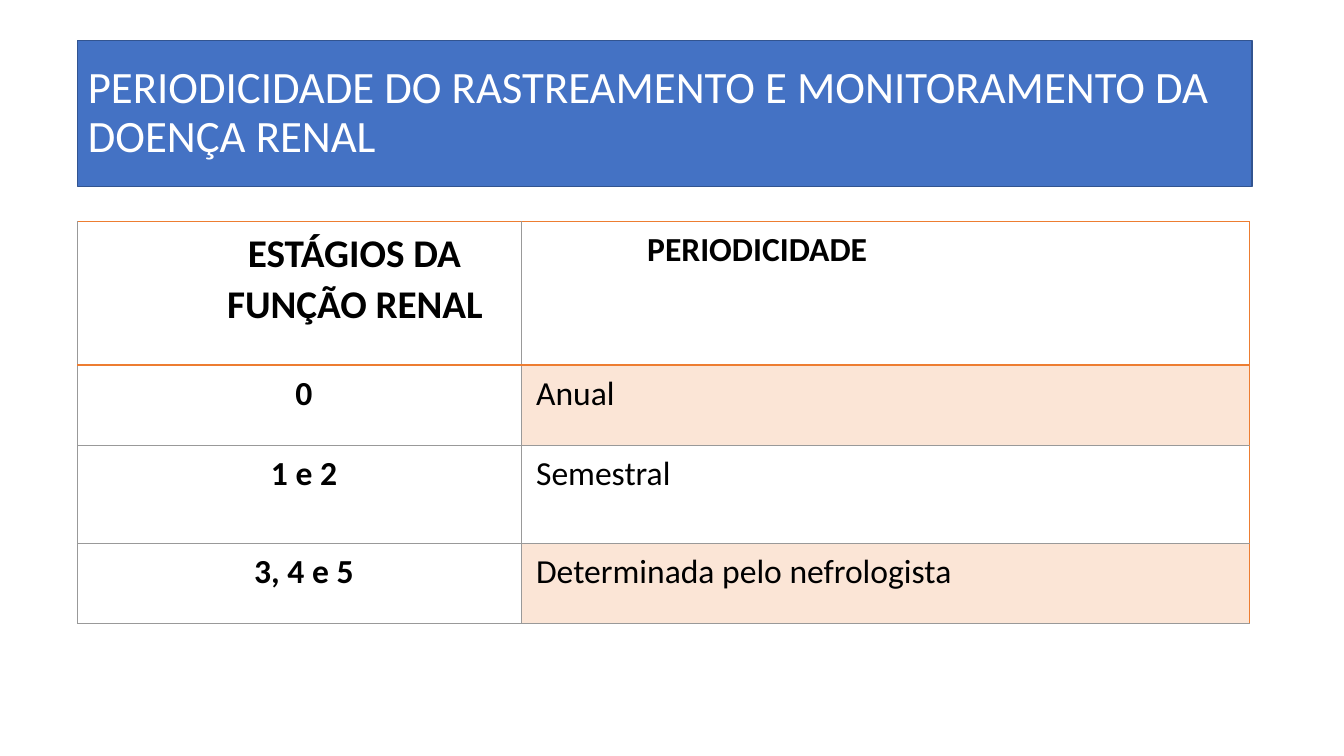
import pptx
import pptx.util
import pptx.dml.color
import pptx.enum.text
import pptx.oxml.ns
import lxml.etree

Cm = pptx.util.Cm
Pt = pptx.util.Pt
ALIGN = pptx.enum.text.PP_ALIGN

COLORS = {
    "blue": "4472C4",
    "dark_blue": "325490",
    "orange": "ED7D31",
    "peach": "FBE5D6",
    "gray": "999999",
    "white": "FFFFFF",
    "black": "000000",
}


class SlideBuilder:
    """Holds the shared style and the current slide."""

    font_name = "Calibri"

    def __init__(self, presentation):
        self.slide = presentation.slides.add_slide(presentation.slide_layouts[5])

    def color(self, name):
        return pptx.dml.color.RGBColor.from_string(COLORS[name])

    def style(self, paragraph, size, color, bold, align, line_spacing):
        paragraph.alignment = align
        paragraph.line_spacing = line_spacing
        paragraph.font.name = self.font_name
        paragraph.font.size = Pt(size)
        paragraph.font.bold = bold
        paragraph.font.color.rgb = self.color(color)

    def title(self, text, left, top, width, height):
        shape = self.slide.shapes.title
        shape.left, shape.top = Cm(left), Cm(top)
        shape.width, shape.height = Cm(width), Cm(height)
        shape.fill.solid()
        shape.fill.fore_color.rgb = self.color("blue")
        shape.line.color.rgb = self.color("dark_blue")
        shape.line.width = Pt(1)
        frame = shape.text_frame
        frame.text = text
        frame.word_wrap = True
        frame.auto_size = pptx.enum.text.MSO_AUTO_SIZE.NONE
        frame.vertical_anchor = pptx.enum.text.MSO_ANCHOR.MIDDLE
        self.style(frame.paragraphs[0], 32, "white", False, ALIGN.LEFT, 0.9)

    def table(self, left, top, column_widths, row_heights):
        frame = self.slide.shapes.add_table(
            len(row_heights), len(column_widths), Cm(left), Cm(top),
            Cm(sum(column_widths)), Cm(sum(row_heights)))
        table = frame.table
        table.first_row = False
        table.horz_banding = False
        for column, width in zip(table.columns, column_widths):
            column.width = Cm(width)
        for row, height in zip(table.rows, row_heights):
            row.height = Cm(height)
        return table

    def cell(self, cell, text, size, bold, align, indent, borders, fill=None):
        cell.margin_left, cell.margin_right = Cm(0.25), Cm(0.2)
        cell.margin_top = cell.margin_bottom = Cm(0.13)
        cell.text = text
        paragraph = cell.text_frame.paragraphs[0]
        properties = paragraph._p.get_or_add_pPr()
        properties.set("marL", str(Cm(indent)))
        properties.set("indent", str(Cm(-0.03)))
        self.style(paragraph, size, "black", bold, align, 1.07)
        for side, (color, width) in borders.items():
            self.border(cell, side, color, width)
        if fill:
            cell.fill.solid()
            cell.fill.fore_color.rgb = self.color(fill)
        else:
            cell.fill.background()

    def border(self, cell, side, color, width):
        qn = pptx.oxml.ns.qn
        line = lxml.etree.SubElement(
            cell._tc.get_or_add_tcPr(), qn("a:ln" + side), w=str(Pt(width)))
        solid = lxml.etree.SubElement(line, qn("a:solidFill"))
        lxml.etree.SubElement(solid, qn("a:srgbClr"), val=COLORS[color])


def main():
    presentation = pptx.Presentation()
    presentation.slide_width, presentation.slide_height = Cm(33.87), Cm(19.05)
    builder = SlideBuilder(presentation)

    # Title banner
    builder.title("PERIODICIDADE DO RASTREAMENTO E MONITORAMENTO DA DOENÇA RENAL",
                  1.96, 1.02, 29.59, 3.68)

    # Screening table
    thin, edge, rule = ("gray", 0.5), ("orange", 0.96), ("orange", 1.98)
    table = builder.table(1.96, 5.59, [11.18, 18.34], [3.61, 2.03, 2.46, 2.03])

    # Header row
    header = {"T": edge, "B": rule}
    builder.cell(table.cell(0, 0), "ESTÁGIOS DA FUNÇÃO RENAL", 28, True,
                 ALIGN.CENTER, 2.74, {"L": thin, "R": thin, **header})
    builder.cell(table.cell(0, 1), "PERIODICIDADE", 24, True,
                 ALIGN.LEFT, 2.95, {"L": thin, "R": edge, **header})

    # Stage rows, with every other period shaded
    stages = [("0", "Anual"), ("1 e 2", "Semestral"),
              ("3, 4 e 5", "Determinada pelo nefrologista")]
    for row, (stage, period) in enumerate(stages, start=1):
        sides = {"T": rule if row == 1 else thin, "B": thin}
        builder.cell(table.cell(row, 0), stage, 24, True, ALIGN.CENTER, 0.2,
                     {"L": thin, "R": thin, **sides})
        builder.cell(table.cell(row, 1), period, 24, False, ALIGN.LEFT, 0.15,
                     {"L": thin, "R": edge, **sides},
                     "peach" if row % 2 else None)

    presentation.save("out.pptx")


if __name__ == "__main__":
    main()
